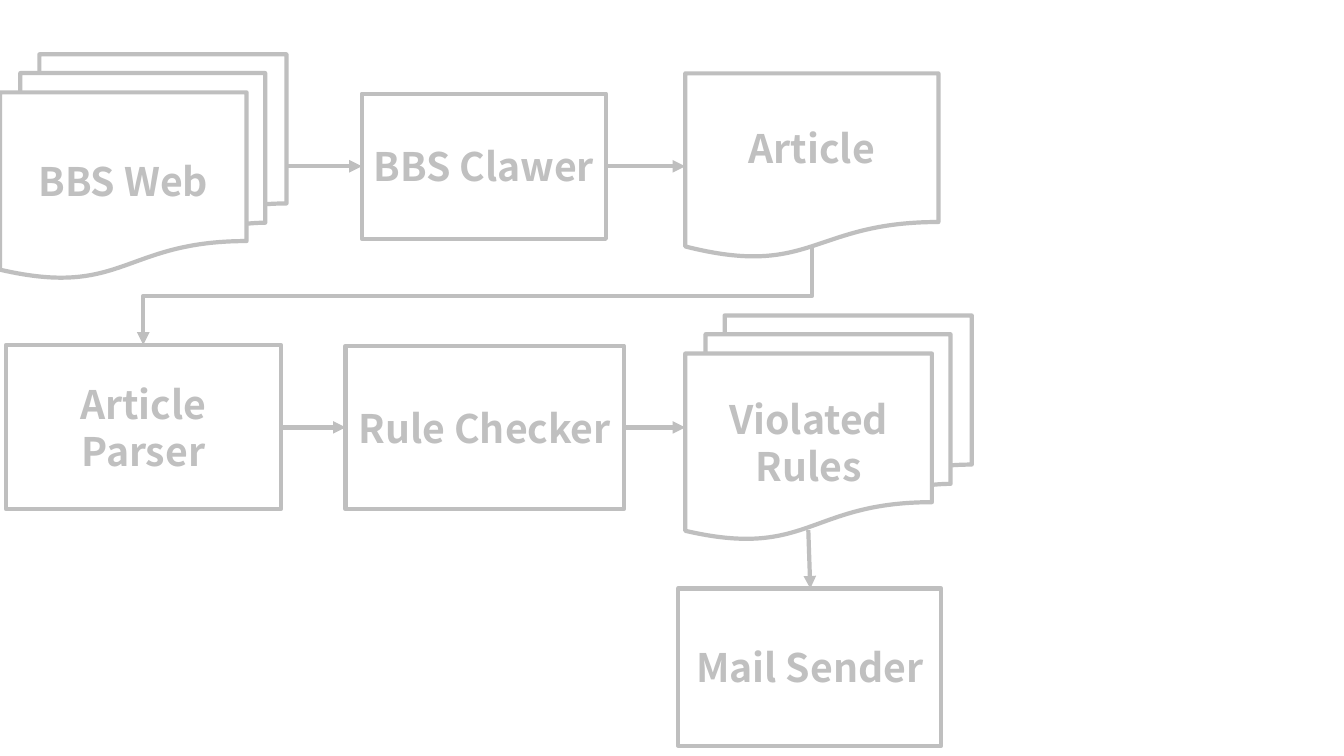
from dataclasses import dataclass

from lxml.etree import SubElement
from pptx import Presentation
from pptx.dml.color import RGBColor
from pptx.enum.shapes import MSO_CONNECTOR as Connector, MSO_SHAPE as Shape
from pptx.enum.text import MSO_ANCHOR, PP_ALIGN
from pptx.oxml.ns import qn
from pptx.util import Cm, Pt


@dataclass(frozen=True)
class Theme:
    font: str = "Noto Sans CJK SC"
    text: RGBColor = RGBColor(0xC0, 0xC0, 0xC0)
    line: RGBColor = RGBColor(0xBF, 0xBF, 0xBF)
    size: Pt = Pt(28)
    line_width: Pt = Pt(3)


theme = Theme()
TOP, LEFT, BOTTOM, RIGHT = range(4)  # connection sites

presentation = Presentation()
presentation.slide_width, presentation.slide_height = Cm(33.87), Cm(19.05)
slide = presentation.slides.add_slide(presentation.slide_layouts[6])


def style_line(line):
    line.color.rgb = theme.line
    line.width = theme.line_width


# Steps: text, shape, left, top, width, height in cm
steps = [
    ("BBS Web", Shape.FLOWCHART_MULTIDOCUMENT, 0, 1.37, 7.22, 5.64),
    ("BBS Clawer", Shape.FLOWCHART_PROCESS, 9.12, 2.36, 6.15, 3.66),
    ("Article Parser", Shape.FLOWCHART_PROCESS, 0.15, 8.69, 6.93, 4.14),
    ("Rule Checker", Shape.FLOWCHART_PROCESS, 8.71, 8.71, 7.01, 4.12),
    ("Violated Rules", Shape.FLOWCHART_MULTIDOCUMENT, 17.27, 7.95, 7.22, 5.64),
    ("Article", Shape.FLOWCHART_DOCUMENT, 17.27, 1.85, 6.38, 4.67),
    ("Mail Sender", Shape.FLOWCHART_PROCESS, 17.09, 14.83, 6.63, 3.96),
]
boxes = {}
for text, kind, *place in steps:
    shape = slide.shapes.add_shape(kind, *map(Cm, place))
    shape.shadow.inherit = False
    shape.fill.background()
    style_line(shape.line)
    frame = shape.text_frame
    frame.word_wrap = True
    frame.vertical_anchor = MSO_ANCHOR.MIDDLE
    paragraph = frame.paragraphs[0]
    paragraph.text = text
    paragraph.alignment = PP_ALIGN.CENTER
    font = paragraph.font
    font.name, font.size, font.bold = theme.font, theme.size, True
    font.color.rgb = theme.text
    boxes[text] = shape
boxes["BBS Clawer"].text_frame.word_wrap = False  # keep the tight label on one line

# Arrows: source, site, target, site, start and end points in cm
arrows = [
    ("BBS Web", RIGHT, "BBS Clawer", LEFT, 7.22, 4.19, 9.12, 4.19),
    ("BBS Clawer", RIGHT, "Article", LEFT, 15.27, 4.19, 17.27, 4.19),
    ("Article", BOTTOM, "Article Parser", TOP, 20.47, 6.22, 3.61, 8.69),
    ("Article Parser", RIGHT, "Rule Checker", LEFT, 7.08, 10.77, 8.71, 10.77),
    ("Rule Checker", RIGHT, "Violated Rules", LEFT, 15.72, 10.77, 17.27, 10.77),
    ("Violated Rules", BOTTOM, "Mail Sender", TOP, 20.37, 13.36, 20.42, 14.83),
]
for source, source_site, target, target_site, x1, y1, x2, y2 in arrows:
    bent = (source, target) == ("Article", "Article Parser")
    if bent:  # undo the quarter turn that is applied below
        center_x, center_y = (x1 + x2) / 2, (y1 + y2) / 2
        half_x, half_y = (y2 - y1) / 2, (x1 - x2) / 2
        x1, x2 = center_x - half_x, center_x + half_x
        y1, y2 = center_y - half_y, center_y + half_y
    kind = Connector.ELBOW if bent else Connector.STRAIGHT
    connector = slide.shapes.add_connector(kind, *map(Cm, (x1, y1, x2, y2)))
    connector.begin_connect(boxes[source], source_site)
    connector.end_connect(boxes[target], target_site)
    connector.begin_x, connector.begin_y = Cm(x1), Cm(y1)
    connector.end_x, connector.end_y = Cm(x2), Cm(y2)
    style_line(connector.line)
    properties = connector._element.spPr
    if bent:
        properties.find(qn("a:xfrm")).set("rot", "5400000")
    SubElement(properties.find(qn("a:ln")), qn("a:tailEnd"), type="triangle")
    SubElement(properties, qn("a:effectLst"))

presentation.save("out.pptx")
